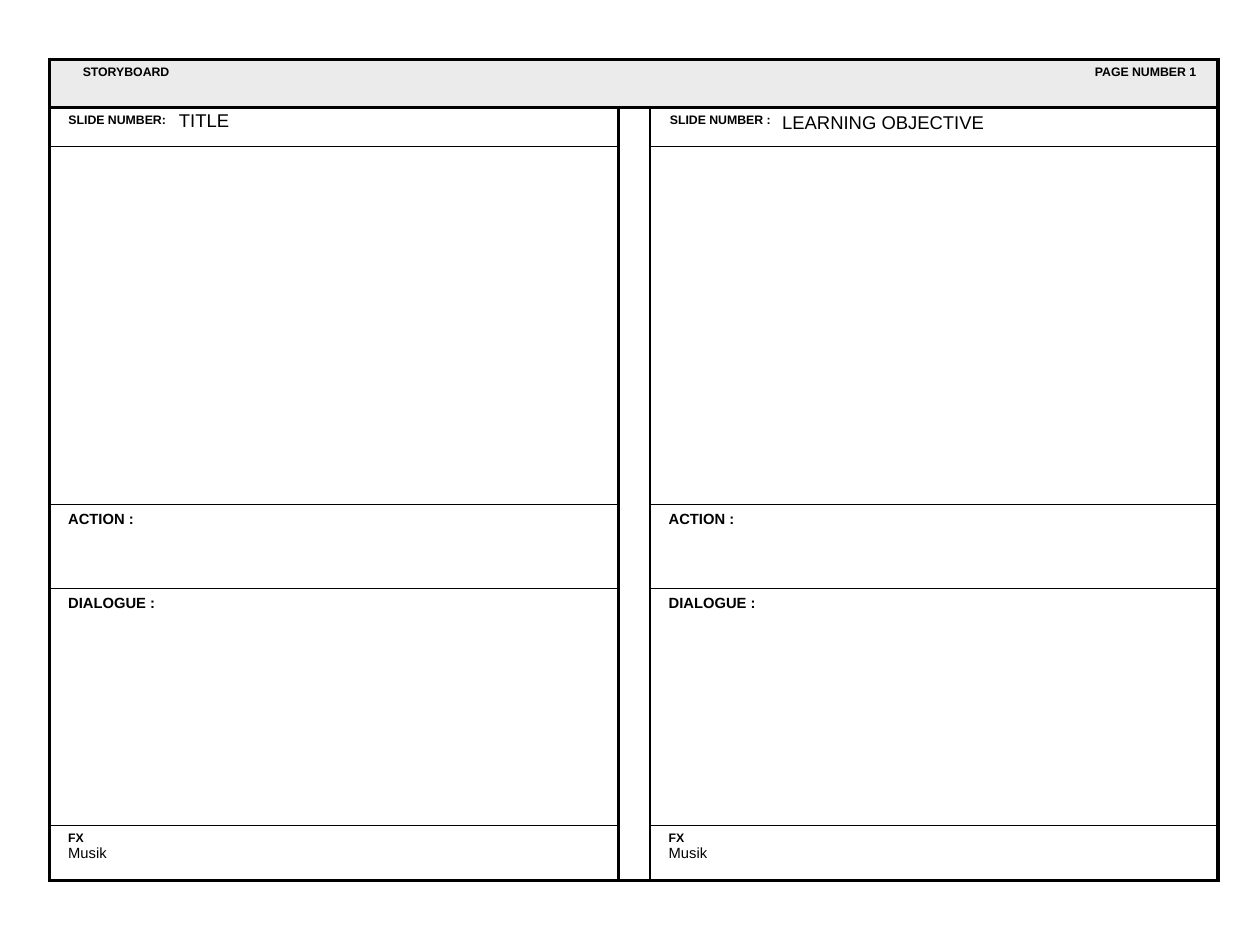
from lxml import etree
from pptx import Presentation, util as u
from pptx.dml.color import RGBColor
from pptx.enum import text
from pptx.oxml import ns

PX = 9144
INK = {"line": "000000", "text": "000000", "head": "EBEBEB"}
COLS = [142, 500, 17, 17, 143, 338, 160]
ROWS = [54, 44, 405, 95, 267, 62]
RULES = {0: 3, 2: 2, 4: 2, 7: 3}
RIGHT = text.PP_ALIGN.RIGHT


def px(n):
    return u.Emu(n * PX)


def pad(cell, inset):
    cell.margin_left = cell.margin_right = px(inset)
    cell.margin_top = cell.margin_bottom = px(inset)


def write(cell, lines, left=0, first=0, align=None):
    frame = cell.text_frame
    frame.text = "\n".join(words for words, size, bold in lines)
    for para, (words, size, bold) in zip(frame.paragraphs, lines):
        props = para._p.get_or_add_pPr()
        props.set("marL", str(px(left)))
        props.set("indent", str(px(first)))
        if align is not None:
            para.alignment = align
        for run in para.runs:
            font = run.font
            font.name, font.size, font.bold = "Arial", u.Pt(size), bold
            font.color.rgb = RGBColor.from_string(INK["text"])


def edge(cell, side, width):
    line = etree.SubElement(cell._tc.get_or_add_tcPr(), ns.qn("a:ln" + side))
    line.set("w", str(u.Pt(width)))
    if width:
        fill = etree.SubElement(line, ns.qn("a:solidFill"))
        etree.SubElement(fill, ns.qn("a:srgbClr")).set("val", INK["line"])
    else:
        etree.SubElement(line, ns.qn("a:noFill"))


def upright(row, at):
    return RULES.get(at, 0) if row or at in (0, len(COLS)) else 0


def level(col, at):
    if at in (0, 1, len(ROWS)):
        return 3
    return 0 if col in (2, 3) else 1


def rule(grid):
    for row in range(len(ROWS)):
        for col in range(len(COLS)):
            cell = grid.cell(row, col)
            wide = cell.span_width if cell.is_merge_origin else 1
            tall = cell.span_height if cell.is_merge_origin else 1
            pad(cell, 7)
            edge(cell, "L", upright(row, col))
            edge(cell, "R", upright(row, col + wide))
            edge(cell, "T", level(col, row))
            edge(cell, "B", level(col, row + tall))
            if row:
                cell.fill.background()
            else:
                cell.fill.solid()
                cell.fill.fore_color.rgb = RGBColor.from_string(INK["head"])


def header(grid):
    write(grid.cell(0, 0), [("STORYBOARD", 10, True)], first=14, align=RIGHT)
    write(grid.cell(0, 6), [("PAGE NUMBER 1", 10, True)], first=14)


def panel(grid, start, end, label, title, inset):
    write(grid.cell(1, start), [(label, 10, True)], first=14, align=RIGHT)
    name = grid.cell(1, start + 1)
    pad(name, inset)
    write(name, [(title, 15, False)])
    write(grid.cell(3, start), [("ACTION :", 12, True)], left=14)
    write(grid.cell(4, start), [("DIALOGUE :", 12, True)], first=14)
    write(grid.cell(5, start), [("FX", 10, True), ("Musik", 12, False)], first=14)


def join(grid):
    grid.cell(1, 2).merge(grid.cell(5, 3))
    grid.cell(1, 5).merge(grid.cell(1, 6))
    for row in range(2, len(ROWS)):
        grid.cell(row, 0).merge(grid.cell(row, 1))
        grid.cell(row, 4).merge(grid.cell(row, 6))


def board(slide, left, top):
    frame = slide.shapes.add_table(len(ROWS), len(COLS), px(left), px(top),
                                   px(sum(COLS)), px(sum(ROWS)))
    grid = frame.table
    grid.first_row = grid.horz_banding = False
    for col, width in zip(grid.columns, COLS):
        col.width = px(width)
    for row, height in zip(grid.rows, ROWS):
        row.height = px(height)
    join(grid)
    rule(grid)
    header(grid)
    panel(grid, 0, 1, "SLIDE NUMBER: ", "TITLE", 4)
    panel(grid, 4, 6, "SLIDE NUMBER :", "LEARNING OBJECTIVE", 6)


def main():
    deck = Presentation()
    deck.slide_width, deck.slide_height = px(1422), px(1067)
    board(deck.slides.add_slide(deck.slide_layouts[6]), 56, 67)
    deck.save("out.pptx")


if __name__ == "__main__":
    main()
